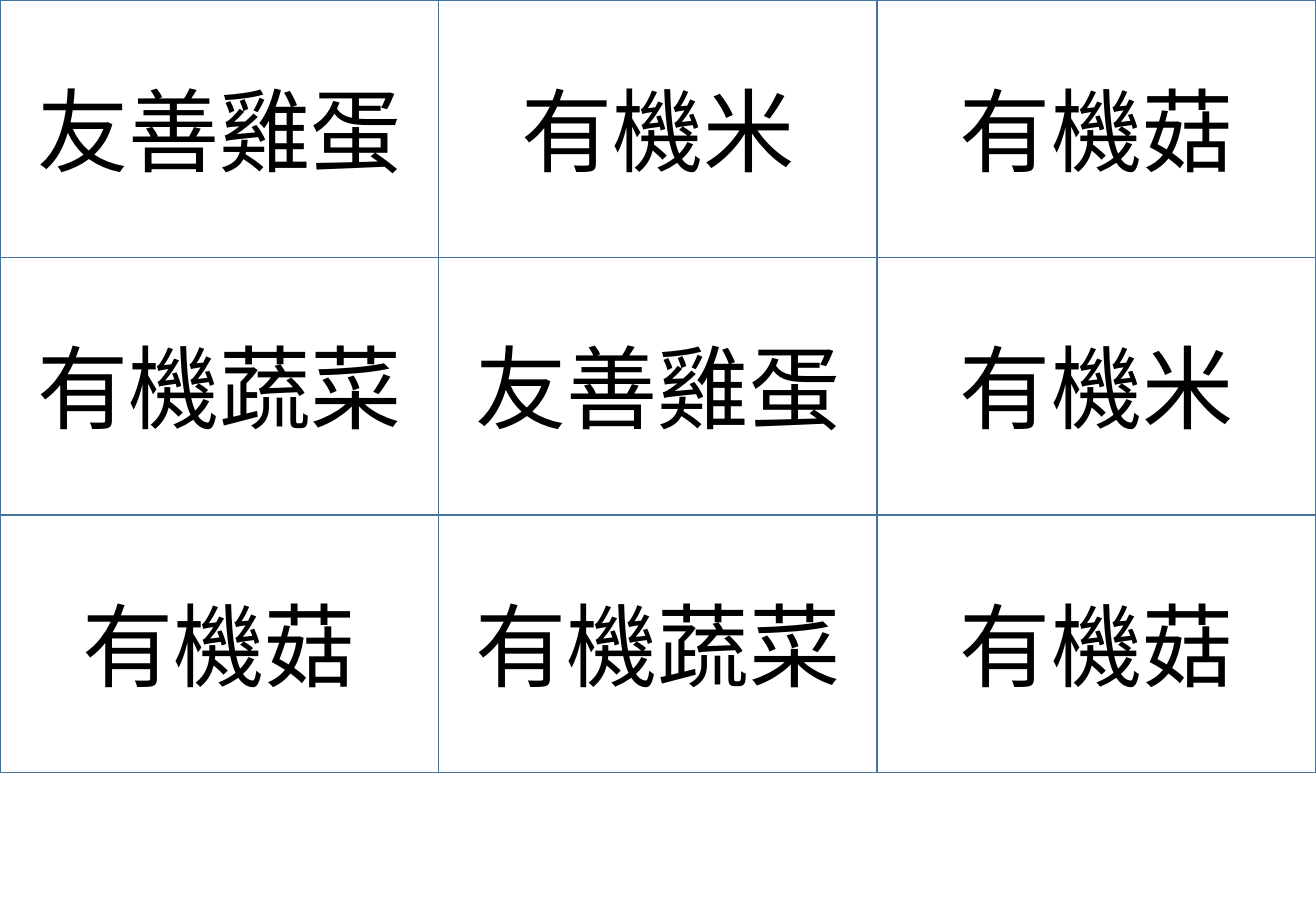
from dataclasses import dataclass

from lxml.etree import SubElement
from pptx import Presentation
from pptx.dml.color import RGBColor
from pptx.enum.shapes import MSO_SHAPE
from pptx.enum.text import MSO_ANCHOR, PP_ALIGN
from pptx.oxml.ns import qn
from pptx.shapes.autoshape import Shape
from pptx.slide import Slide
from pptx.util import Inches, Pt

COLORS = {"border": "43739E", "text": "000000"}
FONT = "Noto Sans CJK SC"
CARD_WIDTH, CARD_HEIGHT = 3.61, 2.12
PRODUCT_ROWS = [
    ["友善雞蛋", "有機米", "有機菇"],
    ["有機蔬菜", "友善雞蛋", "有機米"],
    ["有機菇", "有機蔬菜", "有機菇"],
]


@dataclass(frozen=True)
class Card:
    product: str
    row: int
    column: int


def write_text(shape: Shape, text: str, *, size: float, color: str,
               font: str = FONT) -> None:
    frame = shape.text_frame
    frame.word_wrap = True
    frame.vertical_anchor = MSO_ANCHOR.MIDDLE
    paragraph = frame.paragraphs[0]
    paragraph.alignment = PP_ALIGN.CENTER
    run = paragraph.add_run()
    run.text = text
    run.font.size = Pt(size)
    run.font.color.rgb = RGBColor.from_string(color)
    run.font.name = font
    # Chinese characters take their font from the East Asian setting
    SubElement(run.font._element, qn("a:ea"), typeface=font)


def draw_card(slide: Slide, card: Card) -> None:
    cell = slide.shapes.add_shape(
        MSO_SHAPE.RECTANGLE,
        Inches(card.column * CARD_WIDTH), Inches(card.row * CARD_HEIGHT),
        Inches(CARD_WIDTH), Inches(CARD_HEIGHT))
    cell.shadow.inherit = False
    cell.fill.background()
    cell.line.color.rgb = RGBColor.from_string(COLORS["border"])
    cell.line.width = Pt(1)
    write_text(cell, card.product, size=54, color=COLORS["text"])


def main() -> None:
    presentation = Presentation()
    presentation.slide_width = Inches(10.83)
    presentation.slide_height = Inches(7.5)
    slide = presentation.slides.add_slide(presentation.slide_layouts[6])
    for row, products in enumerate(PRODUCT_ROWS):
        for column, product in enumerate(products):
            draw_card(slide, Card(product, row, column))
    presentation.save("out.pptx")


if __name__ == "__main__":
    main()
